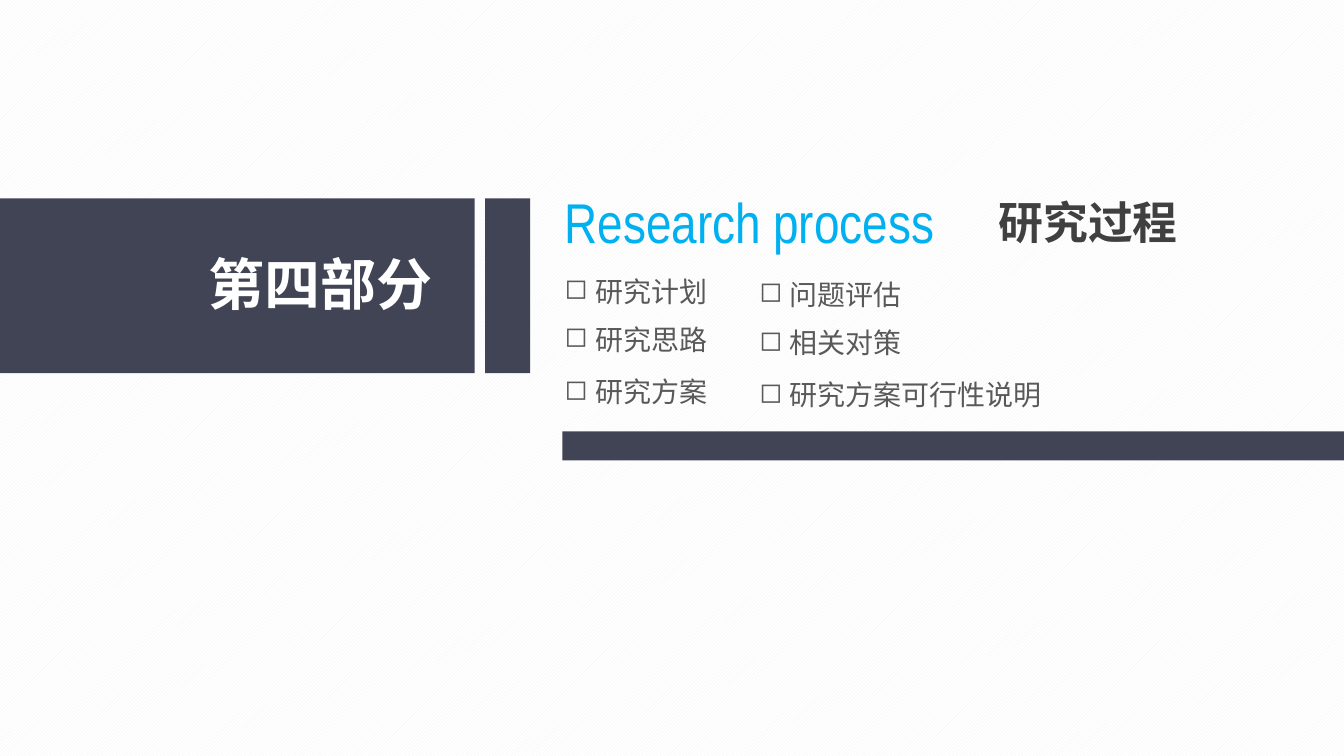
from pptx import Presentation
from pptx.dml.color import RGBColor
from pptx.enum.dml import MSO_PATTERN
from pptx.enum.shapes import MSO_SHAPE
from pptx.enum.text import MSO_ANCHOR, MSO_AUTO_SIZE, PP_ALIGN
from pptx.oxml.ns import qn
from pptx.util import Cm, Pt
from lxml.etree import SubElement

COLORS = {
    "band": "414455",
    "white": "FFFFFF",
    "hatch": "F2F2F2",
    "accent": "00B0F0",
    "heading": "404040",
    "body": "595959",
}
CJK = "Noto Sans CJK SC"
LATIN = "Arial Narrow"


def color(name):
    return RGBColor.from_string(COLORS[name])


class SectionSlide:
    """Holds the style and the current slide."""

    inset_x, inset_y = Cm(0.18), Cm(0.1)
    bullet_indent = Cm(0.58)

    def __init__(self, deck):
        self.slide = deck.slides.add_slide(deck.slide_layouts[5])

    def background(self):
        fill = self.slide.background.fill
        fill.patterned()
        fill.pattern = MSO_PATTERN.LIGHT_UPWARD_DIAGONAL
        fill.fore_color.rgb = color("hatch")
        fill.back_color.rgb = color("white")

    def band(self, left, top, width, height):
        bar = self.slide.shapes.add_shape(
            MSO_SHAPE.RECTANGLE, Cm(left), Cm(top), Cm(width), Cm(height))
        bar.shadow.inherit = False
        bar.fill.solid()
        bar.fill.fore_color.rgb = color("band")
        bar.line.fill.background()

    def title(self, text, box, **style):
        heading = self.slide.shapes.title
        heading.left, heading.top, heading.width, heading.height = map(Cm, box)
        self.set_text(heading.text_frame, text, **style)

    def label(self, text, box, **style):
        caption = self.slide.shapes.add_textbox(*map(Cm, box))
        self.set_text(caption.text_frame, text, **style)

    def set_text(self, frame, text, size, ink, face=CJK, bold=False,
                 bullet=None):
        frame.text = text
        frame.word_wrap = False
        frame.auto_size = MSO_AUTO_SIZE.SHAPE_TO_FIT_TEXT
        frame.vertical_anchor = MSO_ANCHOR.TOP
        frame.margin_left = frame.margin_right = self.inset_x
        frame.margin_top = frame.margin_bottom = self.inset_y
        paragraph = frame.paragraphs[0]
        paragraph.alignment = PP_ALIGN.LEFT
        if bullet:
            properties = paragraph._p.get_or_add_pPr()
            properties.set("marL", str(self.bullet_indent))
            properties.set("indent", str(-self.bullet_indent))
            SubElement(properties, qn("a:buChar"), char=bullet)
        for run in paragraph.runs:
            run.font.size = Pt(size)
            run.font.bold = bold
            run.font.name = face
            run.font.color.rgb = color(ink)
            # East Asian characters take their typeface from a:ea
            SubElement(run._r.get_or_add_rPr(), qn("a:ea"), typeface=face)


def main():
    deck = Presentation()
    deck.slide_width, deck.slide_height = Cm(25.4), Cm(14.28)
    section = SectionSlide(deck)
    section.background()

    section.band(0, 3.75, 8.97, 3.3)
    section.band(9.17, 3.75, 0.85, 3.3)
    section.band(10.63, 8.15, 14.77, 0.55)

    section.label("第四部分", (3.76, 4.62, 4.67, 1.47),
                  size=30, ink="white", bold=True)
    section.label("Research process", (10.49, 3.45, 8.33, 1.47),
                  size=30, ink="accent", face=LATIN)
    section.title("研究过程", (18.69, 3.58, 3.81, 1.22),
                  size=24, ink="heading", bold=True)

    row_offsets = (0, 0.91, 1.9)
    topic_columns = [
        (10.49, 5.08, ("研究计划", "研究思路", "研究方案")),
        (14.17, 5.14, ("问题评估", "相关对策", "研究方案可行性说明")),
    ]
    for left, top, topics in topic_columns:
        for offset, topic in zip(row_offsets, topics):
            width = 1.0 + 0.53 * len(topic)
            section.label(topic, (left, top + offset, width, 0.84),
                          size=15, ink="body", bullet="◻")

    deck.save("out.pptx")


if __name__ == "__main__":
    main()
